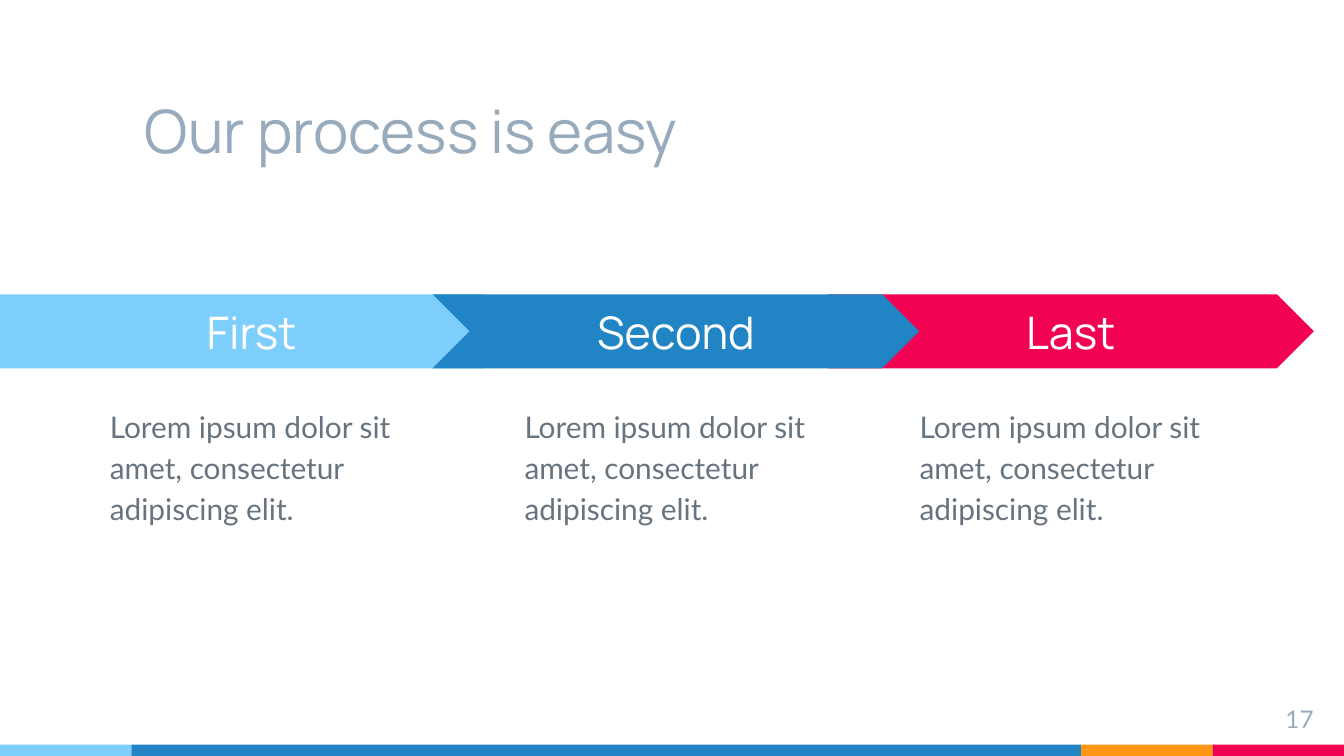
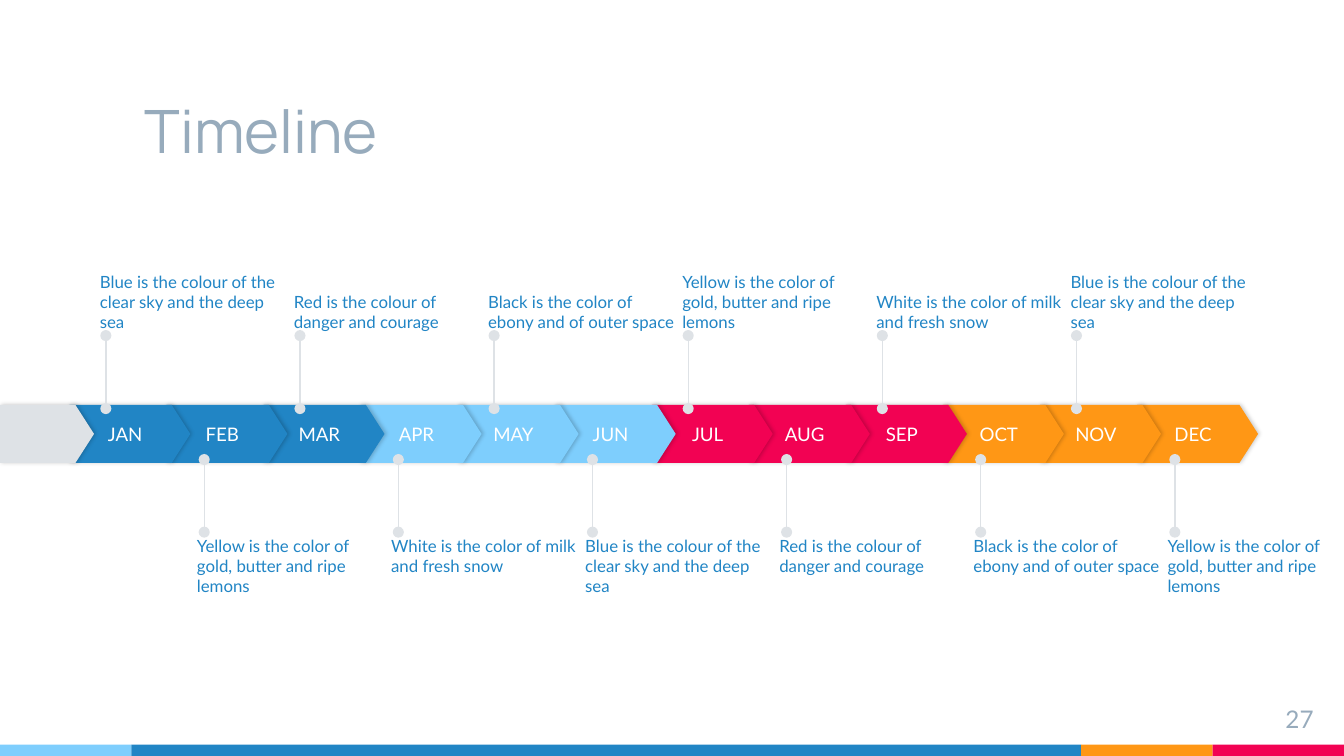
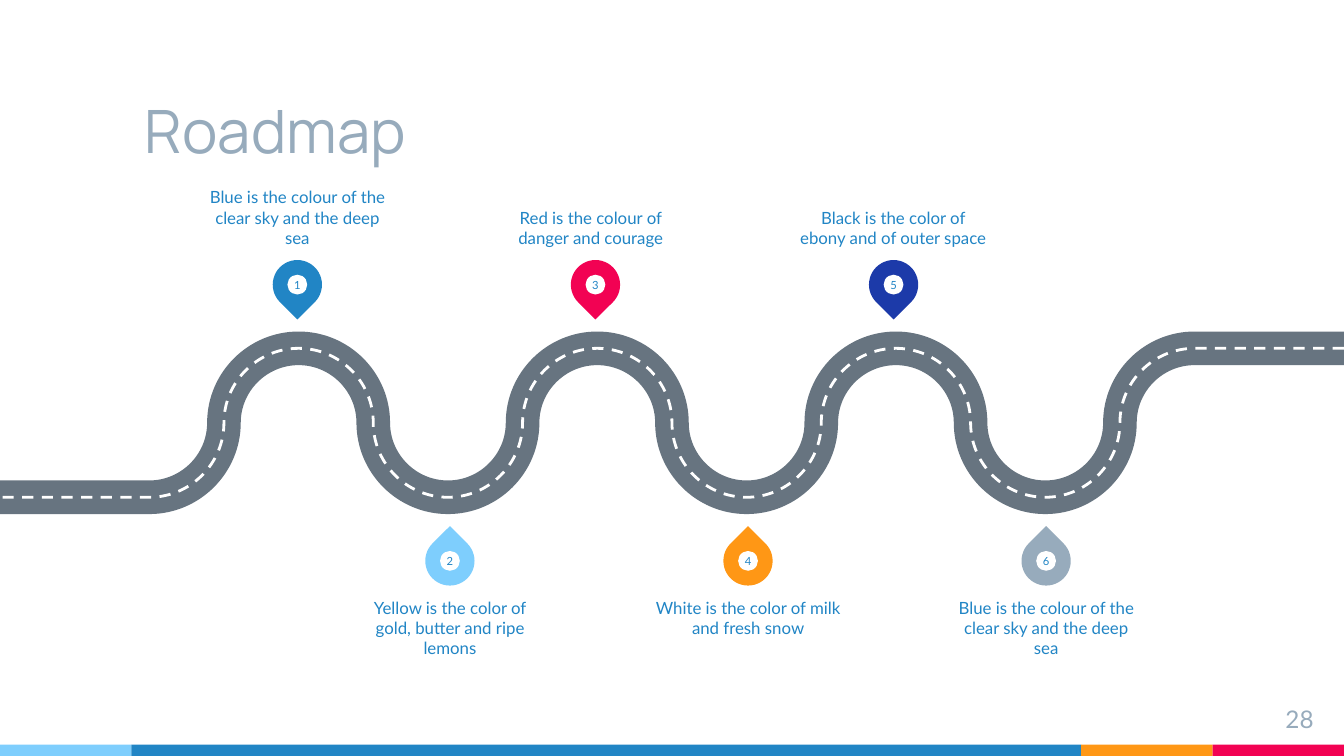
from dataclasses import dataclass

from lxml import etree
from pptx import Presentation
from pptx import util as u
from pptx.dml import color
from pptx.enum import dml, shapes, text
from pptx.oxml import ns


@dataclass(frozen=True)
class Theme:
    blue: str = "2185C5"
    sky: str = "7ECEFD"
    pink: str = "F20253"
    orange: str = "FF9715"
    navy: str = "1C3AA9"
    mist: str = "97ABBC"
    slate: str = "677480"
    pale: str = "DEE2E6"
    white: str = "FFFFFF"
    heading: str = "Manrope"
    body: str = "Lato"
    title_size: float = 32
    step_size: float = 24
    body_size: float = 16
    page_size: float = 13
    month_size: float = 10
    caption_size: float = 9
    pin_size: float = 6


THEME = Theme()
WIDTH, HEIGHT = 720, 405
CAPTION_WIDTH, CAPTION_HEIGHT = 101.5, 41.6
LEFT, CENTER, RIGHT = text.PP_ALIGN.LEFT, text.PP_ALIGN.CENTER, text.PP_ALIGN.RIGHT
TOP, MIDDLE, BOTTOM = (
    text.MSO_ANCHOR.TOP, text.MSO_ANCHOR.MIDDLE, text.MSO_ANCHOR.BOTTOM)
SHAPE = shapes.MSO_SHAPE

SEA = "Blue is the colour of the clear sky and the deep sea"
DANGER = "Red is the colour of danger and courage"
EBONY = "Black is the color of ebony and of outer space"
LEMONS = "Yellow is the color of gold, butter and ripe lemons"
MILK = "White is the color of milk and fresh snow"
LOREM = "Lorem ipsum dolor sit amet, consectetur adipiscing elit."


def rgb(value):
    return color.RGBColor.from_string(value)


def points(*lengths):
    return [u.Pt(length) for length in lengths]


def write(frame, content, *, size, ink, font=THEME.body, align=LEFT,
          anchor=TOP, inset=0, spacing=None):
    frame.word_wrap = True
    frame.auto_size = text.MSO_AUTO_SIZE.NONE
    frame.vertical_anchor = anchor
    frame.margin_left = frame.margin_right = u.Pt(inset)
    frame.margin_top = frame.margin_bottom = u.Pt(inset)
    paragraph = frame.paragraphs[0]
    paragraph.alignment = align
    if spacing:
        paragraph.line_spacing = spacing
    run = paragraph.add_run()
    run.text = content
    run.font.name = font
    run.font.size = u.Pt(size)
    run.font.color.rgb = rgb(ink)


def add_text(canvas, box, content, **style):
    write(canvas.add_textbox(*points(*box)).text_frame, content, **style)


def add_caption(canvas, left, top, content, **style):
    width = min(CAPTION_WIDTH, WIDTH - left)
    add_text(canvas, (left, top, width, CAPTION_HEIGHT), content,
             size=THEME.caption_size, ink=THEME.blue, **style)


def add_solid(canvas, kind, box, fill):
    solid = canvas.add_shape(kind, *points(*box))
    solid.shadow.inherit = False
    solid.fill.solid()
    solid.fill.fore_color.rgb = rgb(fill)
    solid.line.fill.background()
    return solid


def add_soft_shadow(solid):
    effects = solid.element.spPr.find(ns.qn("a:effectLst"))
    shadow = etree.SubElement(
        effects, ns.qn("a:outerShdw"), blurRad=str(u.Pt(2.2)),
        dist=str(u.Pt(0.8)), dir="0", algn="ctr", rotWithShape="0")
    black = etree.SubElement(shadow, ns.qn("a:srgbClr"), val="000000")
    etree.SubElement(black, ns.qn("a:alpha"), val="20000")


def add_stem(canvas, x, start, end):
    stem = canvas.add_connector(
        shapes.MSO_CONNECTOR.STRAIGHT, *points(x, start, x, end))
    stem.line.color.rgb = rgb(THEME.pale)
    stem.line.width = u.Pt(0.75)
    properties = stem.element.spPr
    outline = properties.find(ns.qn("a:ln"))
    for end_tag in ("a:headEnd", "a:tailEnd"):
        etree.SubElement(outline, ns.qn(end_tag), type="oval")
    etree.SubElement(properties, ns.qn("a:effectLst"))


def prepare_layout(layout):
    for holder in list(layout.placeholders):
        if holder.placeholder_format.type != shapes.PP_PLACEHOLDER.TITLE:
            layout.shapes.element.remove(holder.element)


def add_bands(layout, slide):
    edges = (0, 70.4, 579.2, 649.6, WIDTH)
    fills = (THEME.sky, THEME.blue, THEME.orange, THEME.pink)
    for left, right, fill in zip(edges, edges[1:], fills):
        band = add_solid(slide.shapes, SHAPE.RECTANGLE,
                         (left, 399, right - left, HEIGHT - 399), fill)
        layout.shapes.element.append(band.element)


def add_slide(deck, layout, heading, page):
    slide = deck.slides.add_slide(layout)
    title = slide.shapes.title
    title.left, title.top, title.width, title.height = points(70.4, 28, 509, 67.7)
    write(title.text_frame, heading, size=THEME.title_size, ink=THEME.mist,
          font=THEME.heading, anchor=BOTTOM, inset=7.2)
    add_text(slide.shapes, (667.6, 370, 43.2, 24.5), str(page),
             size=THEME.page_size, ink=THEME.mist, align=RIGHT, inset=7.2)
    return slide


def draw_process(slide):
    steps = (
        ("Last", SHAPE.CHEVRON, 443.3, 260.6, 485.6, THEME.pink),
        ("First", SHAPE.PENTAGON, 0, 279.4, 51.8, THEME.sky),
        ("Second", SHAPE.CHEVRON, 231.8, 260.6, 273.9, THEME.blue),
    )
    for label, kind, left, width, detail_left, fill in steps:
        step = slide.shapes.add_group_shape().shapes
        arrow = add_solid(step, kind, (left, 157.7, width, 39.6), fill)
        write(arrow.text_frame, label, size=THEME.step_size, ink=THEME.white,
              font=THEME.heading, align=CENTER, anchor=MIDDLE, inset=7.2)
        add_text(step, (detail_left, 208.8, 176.4, 154.8), LOREM,
                 size=THEME.body_size, ink=THEME.slate, inset=7.2, spacing=1.15)


def add_month_arrow(canvas, left, width, fill):
    arrow = add_solid(canvas, SHAPE.PENTAGON, (left, 217, width, 31), fill)
    arrow.adjustments[0] = 0.32
    add_soft_shadow(arrow)
    return arrow


def draw_timeline(slide):
    pitch = 52
    months = ("JAN", "FEB", "MAR", "APR", "MAY", "JUN",
              "JUL", "AUG", "SEP", "OCT", "NOV", "DEC")
    events = (SEA, LEMONS, DANGER, MILK, EBONY, SEA,
              LEMONS, DANGER, MILK, EBONY, SEA, LEMONS)
    quarters = (THEME.blue, THEME.sky, THEME.pink, THEME.orange)
    for index, month in reversed(list(enumerate(months))):
        arrow = add_month_arrow(slide.shapes, 37.2 + pitch * index, 64.8,
                                quarters[index // 3])
        write(arrow.text_frame, month, size=THEME.month_size, ink=THEME.white,
              align=CENTER, anchor=MIDDLE)
    add_month_arrow(slide.shapes, 0, 50.4, THEME.pale)
    above = (56.7, 218.9, 179.8, 53.5, 136.4, BOTTOM)
    below = (57.4, 285.1, 246.2, 53.5, 287, TOP)
    for parity, (stem_left, start, end, left, top, anchor) in enumerate((above, below)):
        for index in range(parity, len(events), 2):
            add_stem(slide.shapes, stem_left + pitch * index, start, end)
            add_caption(slide.shapes, left + pitch * index, top, events[index],
                        anchor=anchor)


def road_corners(radius, high, low):
    middle = (high + low) / 2
    levels = (high, middle, low, middle)
    corners = [(WIDTH - radius * (index + 2), levels[index % 4])
               for index in range(15)]
    return [(WIDTH, high), *corners, (0, low)]


def round_corners(road):
    bow = 0.55
    route = road.element.spPr.find(".//" + ns.qn("a:path"))
    places = [(int(spot.get("x")), int(spot.get("y")))
              for spot in route.iter(ns.qn("a:pt"))]
    lines = route.findall(ns.qn("a:lnTo"))
    for index, line in enumerate(lines[1:-1]):
        (x1, y1), (x2, y2) = places[index + 1:index + 3]
        dx, dy = round(bow * (x2 - x1)), round(bow * (y2 - y1))
        if index % 2:
            controls = ((x1, y1 + dy), (x2 - dx, y2))
        else:
            controls = ((x1 + dx, y1), (x2, y2 - dy))
        curve = etree.Element(ns.qn("a:cubicBezTo"))
        for x, y in (*controls, (x2, y2)):
            etree.SubElement(curve, ns.qn("a:pt"), x=str(x), y=str(y))
        route.replace(line, curve)


def add_road_line(canvas, corners, ink, width, dash=None):
    start, *rest = [points(*corner) for corner in corners]
    builder = canvas.build_freeform(*start)
    builder.add_line_segments(rest, close=False)
    road = builder.convert_to_shape()
    round_corners(road)
    road.shadow.inherit = False
    road.fill.background()
    road.line.color.rgb = rgb(ink)
    road.line.width = u.Pt(width)
    if dash:
        road.line.dash_style = dash


def add_pin(canvas, x, y, number, fill, rotation):
    drop, disc = 26.4, 10.6
    pin = add_solid(canvas, SHAPE.TEAR,
                    (x - drop / 2, y - drop / 2, drop, drop), fill)
    pin.rotation = rotation
    badge = add_solid(canvas, SHAPE.OVAL,
                      (x - disc / 2, y - disc / 2, disc, disc), THEME.white)
    write(badge.text_frame, str(number), size=THEME.pin_size, ink=THEME.blue,
          align=CENTER, anchor=MIDDLE)


def draw_roadmap(slide):
    corners = road_corners(40, 186.6, 266.4)
    add_road_line(slide.shapes, corners, THEME.slate, 18)
    add_road_line(slide.shapes, corners, THEME.white, 1.5, dml.MSO_LINE.DASH)
    pitch = 79.85
    above = (159.3, 152.5, 135, 91.1, BOTTOM)
    below = (161.2, 300.5, 315, 320, TOP)
    stops = (
        (1, SEA, THEME.blue, 0), (3, DANGER, THEME.pink, -2.6),
        (5, EBONY, THEME.navy, -0.3), (6, SEA, THEME.mist, 0),
        (4, MILK, THEME.orange, 0), (2, LEMONS, THEME.sky, 0),
    )
    for number, caption, fill, nudge in stops:
        left, y, rotation, top, anchor = above if number % 2 else below
        x = left + pitch * (number - 1)
        add_pin(slide.shapes, x, y, number, fill, rotation)
        add_caption(slide.shapes, x + nudge - CAPTION_WIDTH / 2, top, caption,
                    align=CENTER, anchor=anchor)


def main():
    deck = Presentation()
    deck.slide_width, deck.slide_height = points(WIDTH, HEIGHT)
    layout = deck.slide_layouts[5]
    prepare_layout(layout)
    process = add_slide(deck, layout, "Our process is easy", 17)
    add_bands(layout, process)
    draw_process(process)
    draw_timeline(add_slide(deck, layout, "Timeline", 27))
    draw_roadmap(add_slide(deck, layout, "Roadmap", 28))
    deck.save("out.pptx")


if __name__ == "__main__":
    main()
